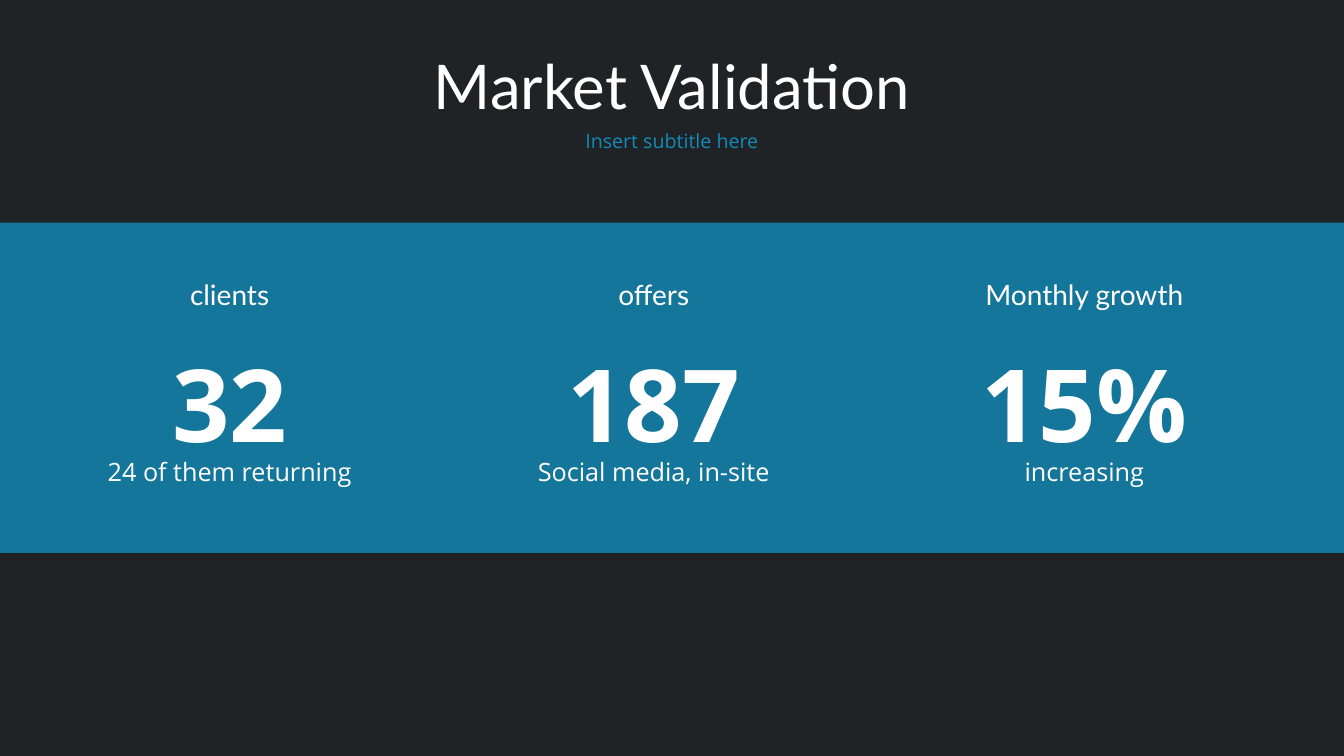
"""Build the Market Validation slide with three key figures on a band."""
from dataclasses import dataclass

from lxml.etree import SubElement
from pptx import Presentation
from pptx.dml.color import RGBColor
from pptx.enum.shapes import MSO_SHAPE as Kind
from pptx.enum.text import MSO_ANCHOR as Anchor, MSO_AUTO_SIZE as Fit, PP_ALIGN as Align
from pptx.oxml.ns import qn
from pptx.shapes.autoshape import Shape
from pptx.slide import Slide
from pptx.util import Pt

GREY = RGBColor(0x3F, 0x3F, 0x3F)
DARK = RGBColor(0x18, 0x1E, 0x20)
BLUE = RGBColor(0x13, 0x8B, 0xB9)
WHITE = RGBColor(0xFF, 0xFF, 0xFF)
WIDE, HIGH = 960, 540
HEAD, BODY = "Lato", "Open Sans"


@dataclass(frozen=True)
class Style:
    font: str
    size: float
    color: RGBColor = WHITE
    bold: bool = False
    line: float = 1.0
    anchor: Anchor = Anchor.TOP


@dataclass(frozen=True)
class Box:
    left: float
    top: float
    width: float
    height: float


@dataclass(frozen=True)
class Stat:
    mid: float
    label: str
    value: str
    note: str
    span: float = 240


TITLE = Style(HEAD, 44, line=0.9, anchor=Anchor.MIDDLE)
SUB = Style(BODY, 14, BLUE, line=0.9)
LABEL = Style(HEAD, 20, anchor=Anchor.MIDDLE)
VALUE = Style(BODY, 72, bold=True, line=1.5)
NOTE = Style(BODY, 18, line=1.5)

STATS = (
    Stat(164, "clients", "32", "24 of them returning"),
    Stat(467, "offers", "187", "Social media, in-site"),
    Stat(774.5, "Monthly growth", "15%", "increasing", 281.5),
)


def place(shape: Shape, box: Box) -> None:
    shape.left, shape.top = Pt(box.left), Pt(box.top)
    shape.width, shape.height = Pt(box.width), Pt(box.height)


def write(shape: Shape, text: str, style: Style) -> None:
    frame = shape.text_frame
    frame.word_wrap = True
    frame.auto_size = Fit.NONE
    frame.vertical_anchor = style.anchor
    para = frame.paragraphs[0]
    para.alignment = Align.CENTER
    para.line_spacing = style.line
    run = para.add_run()
    run.text = text
    run.font.name = style.font
    run.font.size = Pt(style.size)
    run.font.bold = style.bold
    run.font.color.rgb = style.color


def add_text(slide: Slide, box: Box, text: str, style: Style) -> None:
    shape = slide.shapes.add_textbox(0, 0, 0, 0)
    place(shape, box)
    write(shape, text, style)


def add_panel(slide: Slide, box: Box, color: RGBColor, alpha: int) -> Shape:
    shape = slide.shapes.add_shape(Kind.RECTANGLE, 0, 0, 0, 0)
    place(shape, box)
    shape.shadow.inherit = False
    shape.line.fill.background()
    shape.fill.solid()
    shape.fill.fore_color.rgb = color
    tint = shape.element.spPr.find(f"{qn('a:solidFill')}/{qn('a:srgbClr')}")
    SubElement(tint, qn("a:alpha")).set("val", str(alpha * 1000))
    return shape


def add_stat(slide: Slide, stat: Stat) -> None:
    rows = (
        (stat.label, LABEL, 192.25, stat.span, 36.5),
        (stat.value, VALUE, 197.25, 212, 124),
        (stat.note, NOTE, 311.75, 212, 40),
    )
    for text, style, top, width, height in rows:
        add_text(slide, Box(stat.mid - width / 2, top, width, height), text, style)


def main() -> None:
    deck = Presentation()
    deck.slide_width, deck.slide_height = Pt(WIDE), Pt(HIGH)
    slide = deck.slides.add_slide(deck.slide_layouts[5])
    slide.background.fill.solid()
    slide.background.fill.fore_color.rgb = GREY

    title = slide.shapes.title
    veil = add_panel(slide, Box(0, 0, WIDE, HIGH), DARK, 82)
    title.element.addprevious(veil.element)
    place(title, Box(66, 28.75, 828, 70.5))
    write(title, "Market Validation", TITLE)
    add_text(slide, Box(66, 90.75, 828, 29), "Insert subtitle here", SUB)

    add_panel(slide, Box(0, 159, WIDE, 236), BLUE, 80)
    for stat in STATS:
        add_stat(slide, stat)
    deck.save("out.pptx")


if __name__ == "__main__":
    main()
